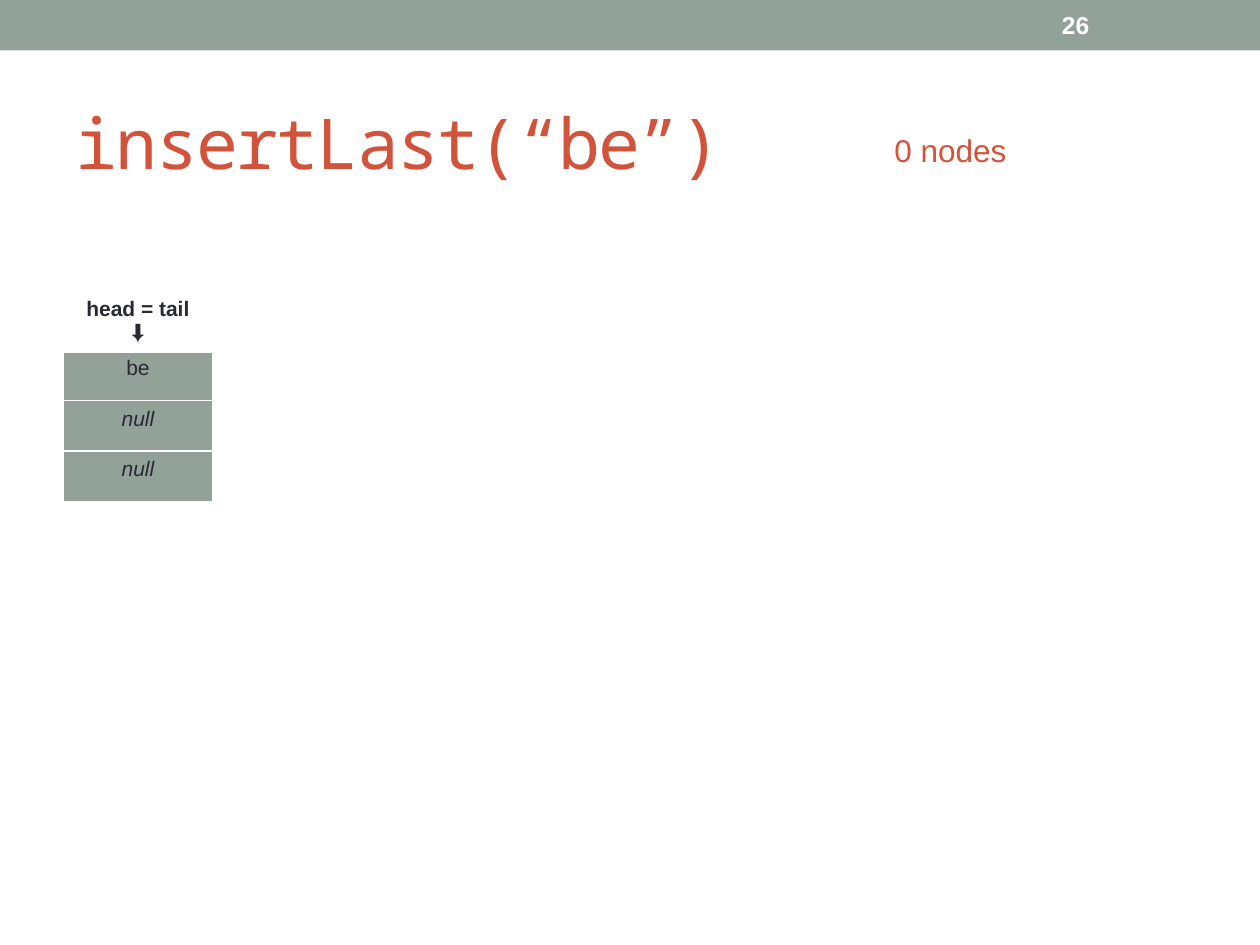
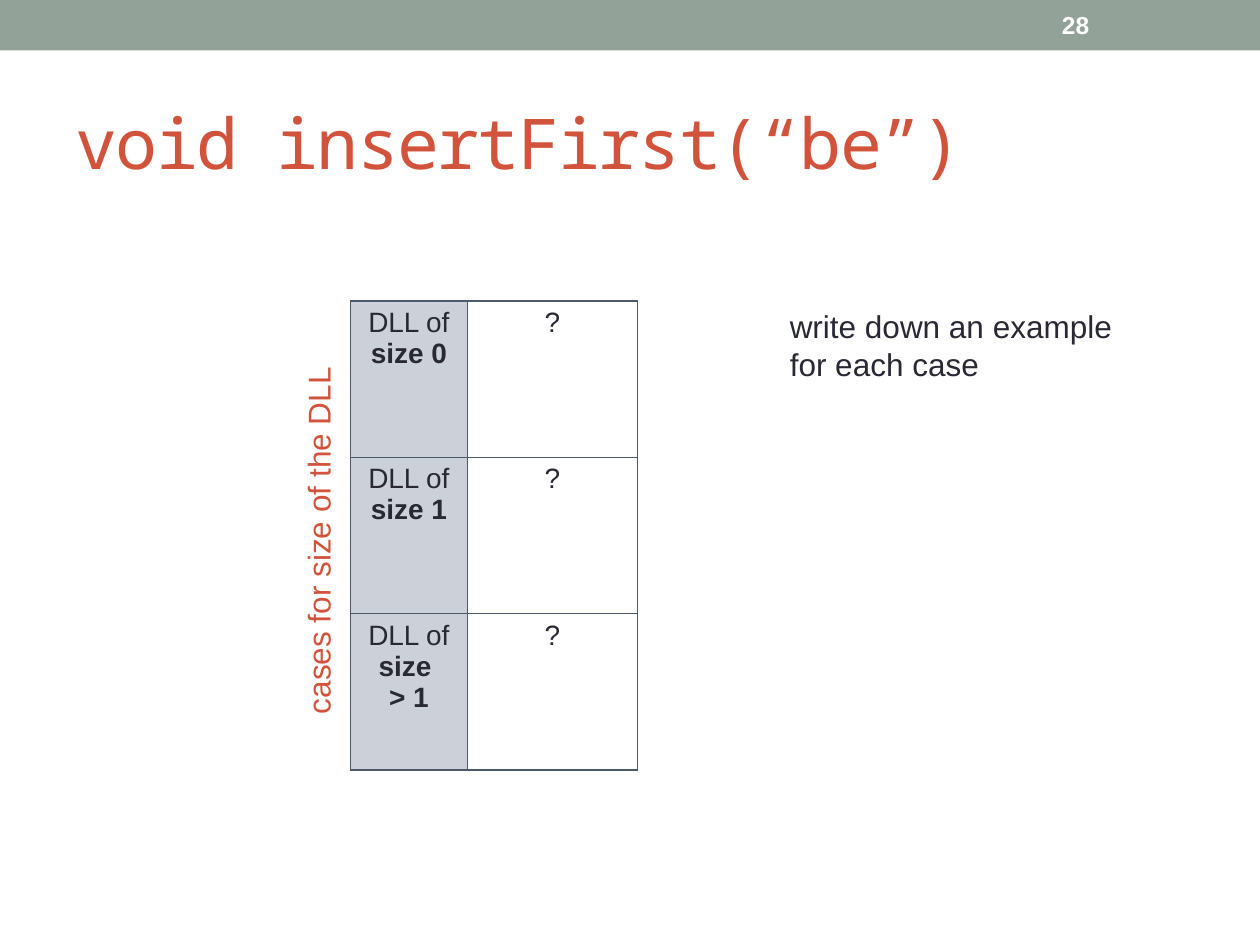
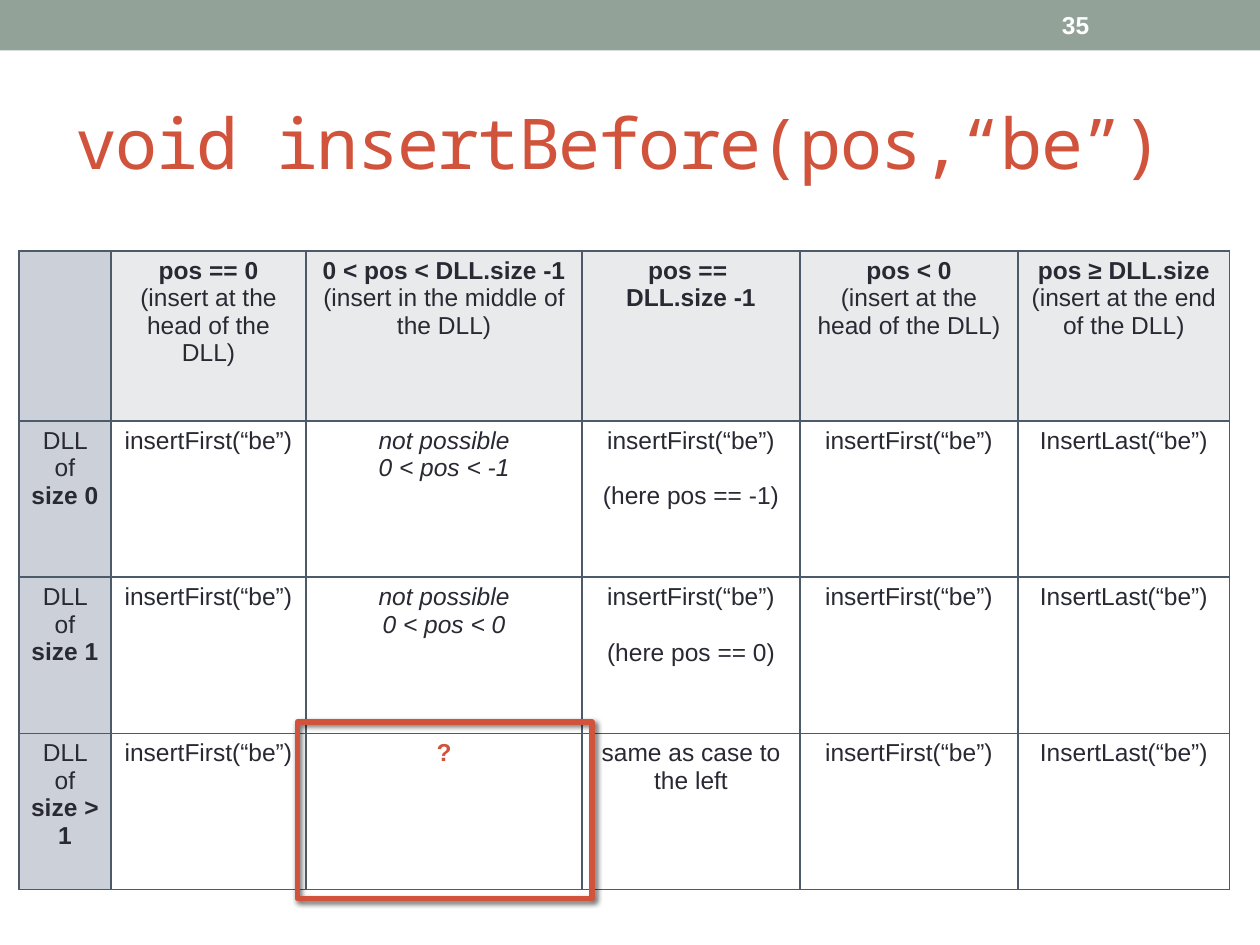
from pptx import Presentation
from pptx.dml.color import RGBColor
from pptx.enum.shapes import MSO_SHAPE
from pptx.enum.text import MSO_ANCHOR, MSO_AUTO_SIZE, PP_ALIGN
from pptx.oxml import parse_xml
from pptx.oxml.ns import nsdecls
from pptx.util import Inches, Pt

RECTANGLE = MSO_SHAPE.RECTANGLE
MIDDLE, BOTTOM = MSO_ANCHOR.MIDDLE, MSO_ANCHOR.BOTTOM
LEFT, CENTER = PP_ALIGN.LEFT, PP_ALIGN.CENTER

SAGE = RGBColor(0x93, 0xA2, 0x99)
RUST = RGBColor(0xD2, 0x53, 0x3C)
INK = RGBColor(0x29, 0x29, 0x34)
SLATE = RGBColor(0x4C, 0x5A, 0x6A)
LABEL_GRAY = RGBColor(0xCC, 0xD1, 0xD9)
HEADER_GRAY = RGBColor(0xE9, 0xEA, 0xEB)
WHITE = RGBColor(0xFF, 0xFF, 0xFF)

BODY_FONT, CODE_FONT = "Arial", "Noto Sans Mono"
BOLD, ITALIC = {"bold": True}, {"italic": True}
ALERT = {"bold": True, "color": RUST}

# A cell is a list of paragraphs; a paragraph is a list of (text, format) runs.
FIRST = [[("insertFirst(“be”)", {})]]
LAST = [[("InsertLast(“be”)", {})]]
QUESTION = [[("?", {})]]


def size_case(size):
    return [[("DLL of ", {}), (f"size {size}", BOLD)]]


def position_case(condition, effect):
    return [[(condition, BOLD)], [(effect, {})]]


def impossible(condition):
    return [[("not possible", ITALIC)], [(condition, ITALIC)]]


def first_at(pos):
    return FIRST + [[(f"(here pos == {pos})", {"gap": 16})]]


NODE = [
    [[("head = tail", BOLD)], [("⬇", BOLD)]],
    [[("be", {})]],
    [[("null", ITALIC)]],
    [[("null", ITALIC)]],
]
NODE_COLUMNS = [1.19, 1.36, 0.23, 0.23] + [0.75] * 8
NODE_ROWS = [0.86] + [0.4] * 3

SIZE_CASES = [
    [size_case("0"), QUESTION],
    [size_case("1"), QUESTION],
    [[[("DLL of ", {}), ("size ", BOLD)], [("> 1", BOLD)]], QUESTION],
]

INSERT_BEFORE_CASES = [
    [
        [],
        position_case("pos == 0", "(insert at the head of the DLL)"),
        position_case("0 < pos < DLL.size -1", "(insert in the middle of the DLL)"),
        [[("pos == ", BOLD)], [("DLL.size -1", BOLD)]],
        position_case("pos < 0", "(insert at the head of the DLL)"),
        position_case("pos ≥ DLL.size", "(insert at the end of the DLL)"),
    ],
    [size_case("0"), FIRST, impossible("0 < pos < -1"), first_at(-1), FIRST, LAST],
    [size_case("1"), FIRST, impossible("0 < pos < 0"), first_at(0), FIRST, LAST],
    [size_case("> 1"), FIRST, [[("?", ALERT)]],
     [[("same as case to the left", {})]], FIRST, LAST],
]


def inches(*lengths):
    return [Inches(length) for length in lengths]


def style(font, size, color, name=BODY_FONT, bold=False, italic=False):
    font.color.rgb = color
    values = {"size": Pt(size), "name": name, "bold": bold, "italic": italic}
    for attribute, value in values.items():
        setattr(font, attribute, value)


def add_slide(prs, title, number):
    slide = prs.slides.add_slide(prs.slide_layouts[5])
    band = slide.shapes.add_shape(RECTANGLE, *inches(0, 0, 10, 0.4))
    band.shadow.inherit = False
    band.fill.solid()
    band.fill.fore_color.rgb = SAGE
    band.line.fill.background()

    heading = slide.shapes.title
    heading.left, heading.top, heading.width, heading.height = inches(0.5, 0.58, 9, 1.08)
    frame = heading.text_frame
    frame.text = title
    frame.vertical_anchor = MIDDLE
    frame.auto_size = MSO_AUTO_SIZE.NONE
    frame.paragraphs[0].alignment = LEFT
    run = frame.paragraphs[0].runs[0]
    style(run.font, 40, RUST, CODE_FONT)
    run.font._element.set("spc", "-100")

    page = add_text(slide, [str(number)], (8.33, 0.02, 1.17, 0.36), WHITE, 14, bold=True)
    page.text_frame.vertical_anchor = MIDDLE
    return slide


def add_text(slide, lines, place, color, size=18, bold=False):
    box = slide.shapes.add_textbox(*inches(*place))
    box.text_frame.word_wrap = False
    box.text_frame.text = "\n".join(lines)
    for paragraph in box.text_frame.paragraphs:
        style(paragraph.runs[0].font, size, color, bold=bold)
    return box


def set_borders(cell, color, widths):
    """Draw the cell's left, right, top and bottom lines, widths in points."""
    properties = cell._tc.get_or_add_tcPr()
    for side, width in zip("LRTB", widths):
        properties.append(parse_xml(
            f'<a:ln{side} {nsdecls("a")} w="{Pt(width)}"><a:solidFill>'
            f'<a:srgbClr val="{color}"/></a:solidFill></a:ln{side}>'))


def fill_cell(cell, content, size):
    for index, runs in enumerate(content):
        frame = cell.text_frame
        paragraph = frame.add_paragraph() if index else frame.paragraphs[0]
        paragraph.alignment = CENTER
        for text, look in runs:
            look = dict(look)
            if "gap" in look:
                paragraph.space_before = Pt(look.pop("gap"))
            run = paragraph.add_run()
            run.text = text
            style(run.font, size, look.pop("color", INK), **look)


def add_grid(slide, corner, columns, heights, rows, size, line, fill_at,
             border_widths=lambda row: (1, 1, 1, 1)):
    """Add a table; fill_at(row, column) gives each cell's colour."""
    grid = slide.shapes.add_table(
        len(heights), len(columns),
        *inches(*corner, sum(columns), sum(heights))).table
    grid.first_row = grid.horz_banding = False
    for column, width in zip(grid.columns, columns):
        column.width = Inches(width)
    for row, height in zip(grid.rows, heights):
        row.height = Inches(height)
    for r, contents in enumerate(rows):
        for c in range(len(columns)):
            cell = grid.cell(r, c)
            set_borders(cell, line, border_widths(r))
            cell.fill.solid()
            cell.fill.fore_color.rgb = fill_at(r, c)
            if c == 0:
                cell.margin_left = cell.margin_right = Inches(0.09)
            if c < len(contents):
                fill_cell(cell, contents[c], size)
    return grid


def add_highlight(slide, place):
    frame = slide.shapes.add_shape(RECTANGLE, *inches(*place))
    frame.fill.background()
    frame.line.color.rgb = RUST
    frame.line.width = Pt(3)
    frame.shadow.inherit = False
    effects = frame._element.spPr.find("{*}effectLst")
    effects.append(parse_xml(
        f'<a:outerShdw {nsdecls("a")} blurRad="{Pt(3)}" dist="{Pt(2)}" dir="2700000">'
        '<a:srgbClr val="000000"><a:alpha val="60000"/></a:srgbClr></a:outerShdw>'))


def build_insert_last(prs):
    slide = add_slide(prs, "insertLast(“be”)", 26)
    node = add_grid(
        slide, (0.5, 1.92), NODE_COLUMNS, NODE_ROWS, [[part] for part in NODE], 12, WHITE,
        lambda row, column: SAGE if row and column == 0 else WHITE,
        lambda row: (1, 1, 3 if row == 1 else 1, 1 if row else 3))
    node.cell(0, 0).vertical_anchor = BOTTOM
    add_text(slide, ["0 nodes"], (7, 0.99, 1.1, 0.4), RUST)


def build_insert_first(prs):
    slide = add_slide(prs, "void insertFirst(“be”)", 28)
    add_grid(slide, (2.78, 2.39), [0.93, 1.35], [1.24] * 3, SIZE_CASES, 16, SLATE,
             lambda row, column: WHITE if column else LABEL_GRAY)
    axis = add_text(slide, ["cases for size of the DLL"], (1.04, 4.08, 2.97, 0.4), RUST)
    axis.rotation = 270
    add_text(slide, ["write down an example", "for each case"], (6.17, 2.39, 2.8, 0.71), INK)


def build_insert_before(prs):
    def case_fill(row, column):
        if column == 0:
            return LABEL_GRAY
        return WHITE if row else HEADER_GRAY

    slide = add_slide(prs, "void insertBefore(pos,“be”)", 35)
    add_grid(slide, (0.15, 1.99), [0.73, 1.55, 2.19, 1.73, 1.73, 1.68],
             [1.35] + [1.24] * 3, INSERT_BEFORE_CASES, 14, SLATE, case_fill)
    add_highlight(slide, (2.36, 5.73, 2.34, 1.4))


def main():
    prs = Presentation()
    prs.slide_width, prs.slide_height = inches(10, 7.5)
    for build in (build_insert_last, build_insert_first, build_insert_before):
        build(prs)
    prs.save("out.pptx")


if __name__ == "__main__":
    main()
